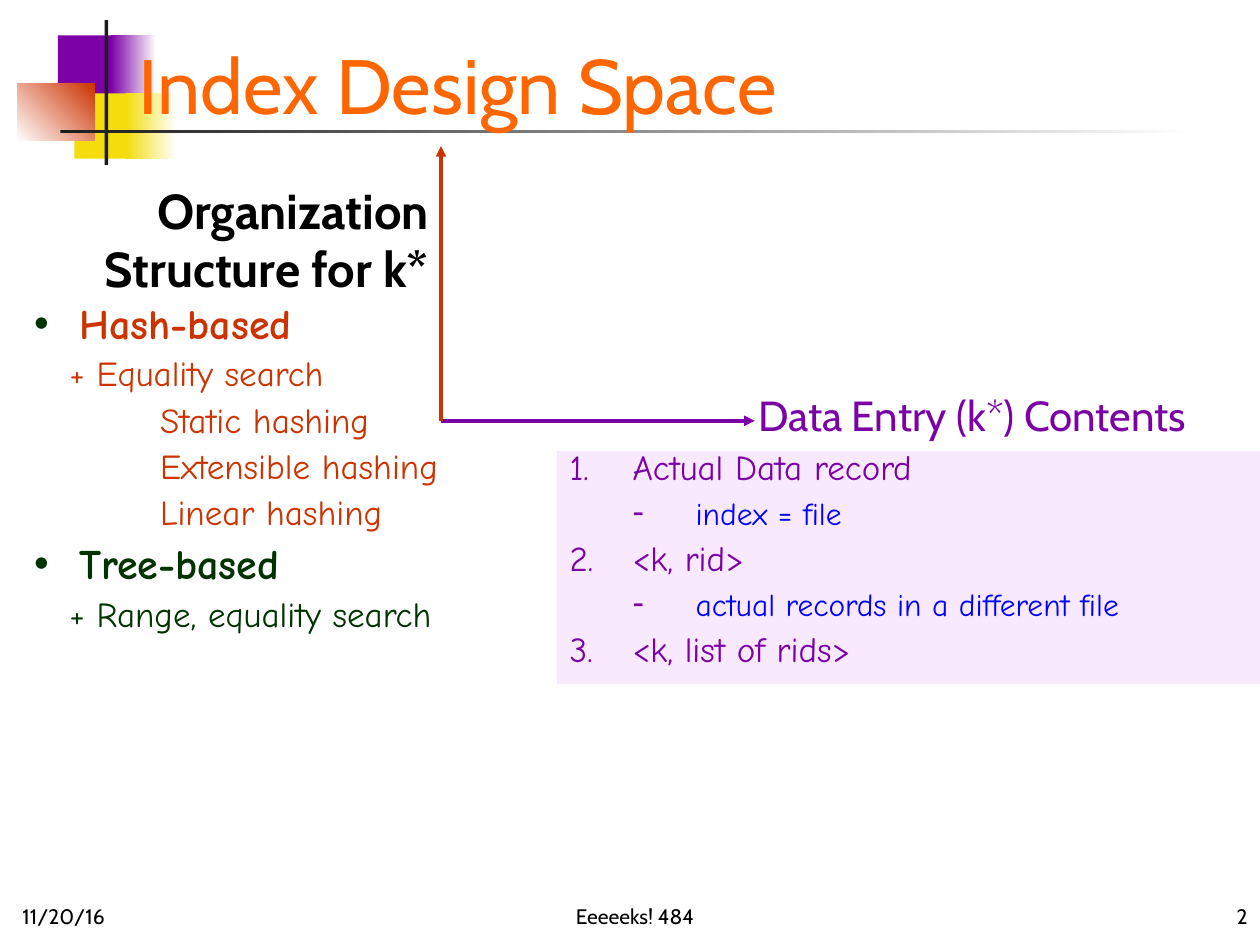
import pptx
import pptx.util
import pptx.dml.color
import pptx.enum.shapes
import pptx.enum.text
import pptx.oxml
import pptx.oxml.ns
from lxml import etree

Inches, Pt = pptx.util.Inches, pptx.util.Pt
SHAPE = pptx.enum.shapes.MSO_SHAPE
ALIGN = pptx.enum.text.PP_ALIGN
ANCHOR = pptx.enum.text.MSO_ANCHOR
qn = pptx.oxml.ns.qn

C = {"purple": "7B00A6", "yellow": "F3DD0D", "red": "CC3300", "ink": "1C1C1C",
     "white": "FFFFFF", "black": "000000", "orange": "FF6600",
     "green": "003300", "blue": "0000FF", "lilac": "F4D5FF"}
HEAD, HAND = "Cabin", "Comic Neue"


def rgb(name):
    return pptx.dml.color.RGBColor.from_string(C[name])


def place(sp, box):
    sp.left, sp.top, sp.width, sp.height = (Inches(v) for v in box)


def style(p, size, color, font=HEAD, bold=False, align=ALIGN.LEFT):
    p.alignment = align
    for r in p.runs:
        f = r.font
        f.name, f.size, f.bold = font, Pt(size), bold
        f.color.rgb = rgb(color)


def block(s, box, color, end=None, angle=0):
    """Borderless rectangle, solid or fading from color to end."""
    x, y, w, h = (Inches(v) for v in box)
    sp = s.shapes.add_shape(SHAPE.RECTANGLE, x, y, w, h)
    sp.shadow.inherit = False
    sp.line.fill.background()
    if end is None:
        sp.fill.solid()
        sp.fill.fore_color.rgb = rgb(color)
        return
    sp.fill.gradient()
    sp.fill.gradient_angle = angle
    for stop, name, pos in zip(sp.fill.gradient_stops, (color, end), (0, 1)):
        stop.color.rgb = rgb(name)
        stop.position = pos


def label(s, box, text, size, color, bold=False, align=ALIGN.LEFT,
          anchor=ANCHOR.TOP, wrap=True):
    tf = s.shapes.add_textbox(*(Inches(v) for v in box)).text_frame
    tf.word_wrap, tf.vertical_anchor = wrap, anchor
    tf.text = text
    style(tf.paragraphs[0], size, color, bold=bold, align=align)


def arrow(s, start, end, color):
    x1, y1, x2, y2 = (Inches(v) for v in (*start, *end))
    ln = s.shapes.add_connector(pptx.enum.shapes.MSO_CONNECTOR.STRAIGHT, x1, y1, x2, y2)
    ln.line.color.rgb = rgb(color)
    ln.line.width = Pt(2)
    etree.SubElement(ln.line._get_or_add_ln(), qn("a:tailEnd"), type="triangle")
    etree.SubElement(ln._element.spPr, qn("a:effectLst"))


def bullet(p, margin, indent, char=None, color=None, size=100):
    pPr = p._p.get_or_add_pPr()
    pPr.set("marL", str(Inches(margin)))
    pPr.set("indent", str(Inches(indent)))
    if char is None:
        etree.SubElement(pPr, qn("a:buNone"))
        return
    clr = etree.SubElement(pPr, qn("a:buClr"))
    etree.SubElement(clr, qn("a:srgbClr"), val=C[color])
    etree.SubElement(pPr, qn("a:buSzPct"), val=str(size * 1000))
    etree.SubElement(pPr, qn("a:buChar"), char=char)


def fill_list(sp, box, rows, kinds, spacing, before):
    """Rows are (kind, text, color); kinds give level, size, bold and bullet settings."""
    place(sp, box)
    tf = sp.text_frame
    tf.word_wrap, tf.vertical_anchor = True, ANCHOR.TOP
    tf.auto_size = pptx.enum.text.MSO_AUTO_SIZE.NONE
    tf.text = "\n".join(text for _, text, _ in rows)
    for p, (kind, _, color) in zip(tf.paragraphs, rows):
        level, size, bold, marks = kinds[kind]
        p.level = level
        p.line_spacing, p.space_before = spacing, Pt(before)
        style(p, size, color, HAND, bold)
        bullet(p, *marks)


def ornament(s, x, y):
    block(s, (x + 0.32, y + 0.12, 0.48, 0.52), "purple")
    block(s, (x + 0.74, y + 0.12, 0.36, 0.52), "purple", "white")
    block(s, (x + 0.45, y + 0.58, 0.46, 0.52), "yellow")
    block(s, (x + 0.86, y + 0.58, 0.4, 0.52), "yellow", "white")
    block(s, (x, y + 0.5, 0.61, 0.46), "white", "red", 45)
    block(s, (x + 0.69, y, 0.03, 1.15), "ink")
    block(s, (x + 0.34, y + 0.87, 9, 0.03), "ink", "white")


def footer(s, y):
    for x, w, text, align in ((0.08, 2.08, "11/20/16", ALIGN.LEFT),
                              (2.33, 5.42, "Eeeeeks! 484", ALIGN.CENTER),
                              (7.92, 2.08, "2", ALIGN.RIGHT)):
        label(s, (x, y, w, 0.5), text, 12, "black", align=align, anchor=ANCHOR.BOTTOM)


def title(s, box):
    sp = s.shapes.title
    place(sp, box)
    tf = sp.text_frame
    tf.text = "Index Design Space"
    tf.vertical_anchor = ANCHOR.BOTTOM
    tf.auto_size = pptx.enum.text.MSO_AUTO_SIZE.NONE
    style(tf.paragraphs[0], 44, "orange")


def axes(s, x, y):
    """Two arrows from the corner x, y, each with its name."""
    arrow(s, (x, y), (x + 2.49, y), "purple")
    label(s, (x + 2.42, y - 0.3, 3.88, 0.5), "Data Entry (k*) Contents", 24, "purple",
          wrap=False)
    arrow(s, (x, y), (x, y - 2.18), "red")
    label(s, (x - 3.33, y - 1.96, 3.33, 1.03), "Organization Structure for k*", 28,
          "black", bold=True, align=ALIGN.RIGHT)


def structures(sp, box):
    kinds = {"head": (0, 24, True, (0.36, -0.36, "•", "green")),
             "plus": (0, 20, False, (0.28, 0)),
             "item": (0, 20, False, (1, 0))}
    rows = [("head", "Hash-based", "red"),
            ("plus", "+ Equality search", "red"),
            ("item", "Static hashing", "red"),
            ("item", "Extensible hashing", "red"),
            ("item", "Linear hashing", "red"),
            ("head", "Tree-based", "green"),
            ("plus", "+ Range, equality search", "green")]
    fill_list(sp, box, rows, kinds, 1.1, 0)


def contents(sp, box):
    kinds = {"number": (0, 20, False, (0.5, -0.5)),
             "dash": (1, 18, False, (1, -0.5, "-", "purple", 110))}
    rows = [("number", "1.\tActual Data record", "purple"),
            ("dash", "index = file", "blue"),
            ("number", "2.\t<k, rid>", "purple"),
            ("dash", "actual records in a different file", "blue"),
            ("number", "3.\t<k, list of rids>", "purple")]
    fill_list(sp, box, rows, kinds, 0.7, 10)
    sp.fill.solid()
    sp.fill.fore_color.rgb = rgb("lilac")
    clr = sp._element.spPr.find(".//" + qn("a:srgbClr"))
    etree.SubElement(clr, qn("a:alpha"), val="50000")


def main():
    prs = pptx.Presentation()
    prs.slide_width, prs.slide_height = Inches(10), Inches(7.5)
    s = prs.slides.add_slide(prs.slide_layouts[3])
    ornament(s, 0.14, 0.16)
    # The title overlaps the ornament, so it goes in front of it.
    s.shapes._spTree.append(s.shapes.title._element)
    title(s, (1, -0.17, 8.83, 1.25))
    axes(s, 3.5, 3.34)
    structures(s.placeholders[1], (0.17, 2.27, 4.25, 2.81))
    contents(s.placeholders[2], (4.42, 3.58, 5.58, 1.85))
    footer(s, 6.92)
    prs.save("out.pptx")


if __name__ == "__main__":
    main()
